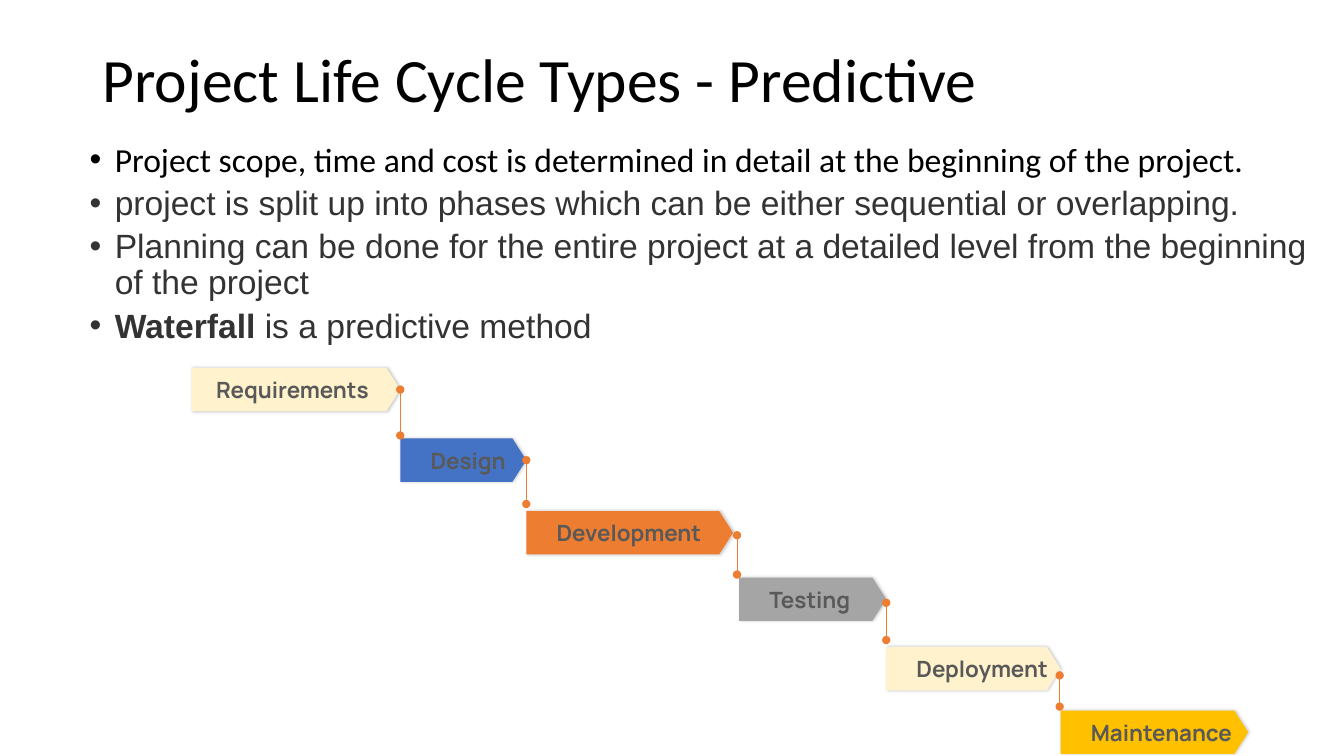
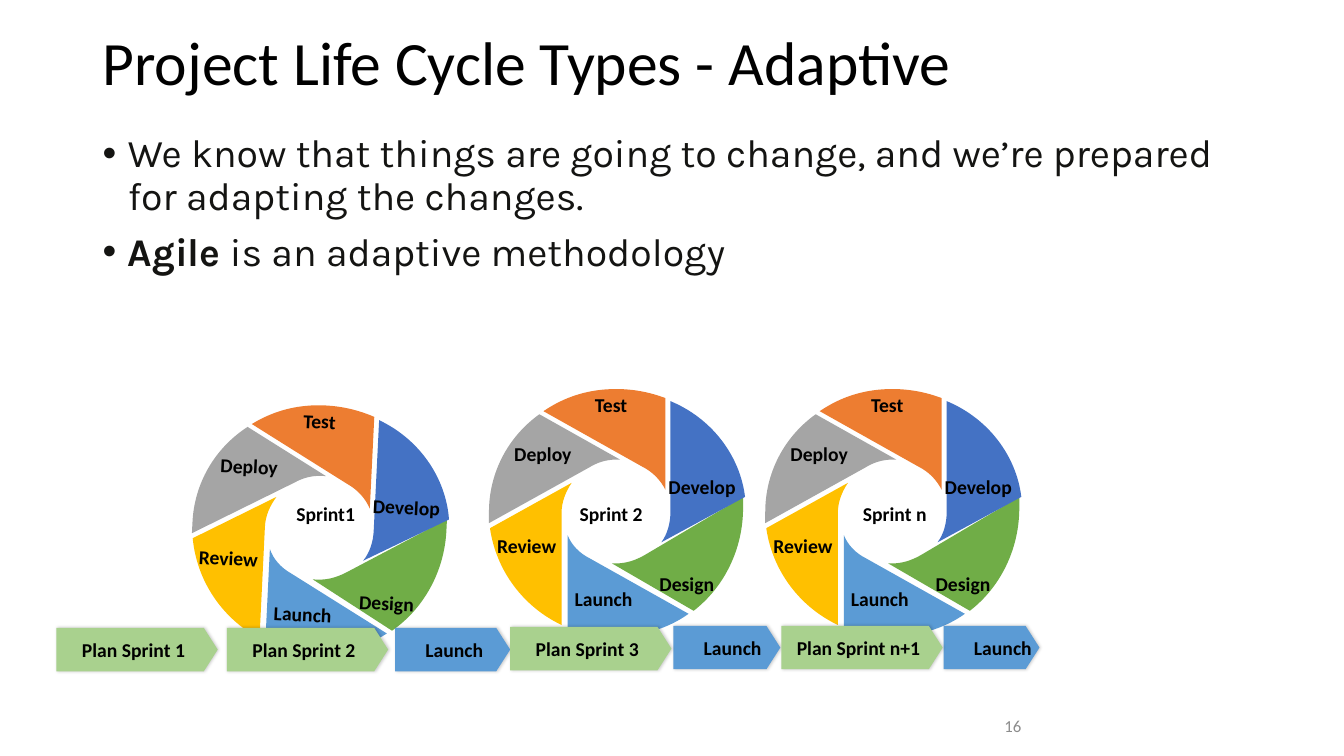
"""Build two slides on predictive and adaptive project life cycles."""
from lxml.etree import Element, SubElement
from pptx import Presentation
from pptx.dml.color import RGBColor
from pptx.enum.shapes import MSO_CONNECTOR, MSO_SHAPE
from pptx.enum.text import MSO_ANCHOR, PP_ALIGN
from pptx.oxml.ns import qn
from pptx.util import Inches, Pt

BLACK = RGBColor(0x00, 0x00, 0x00)
INK = RGBColor(0x14, 0x14, 0x12)
CHARCOAL = RGBColor(0x33, 0x33, 0x33)
SLATE = RGBColor(0x59, 0x59, 0x59)
PAGE_GRAY = RGBColor(0x8C, 0x8C, 0x8C)
GRAY = RGBColor(0xA5, 0xA5, 0xA5)
CREAM = RGBColor(0xFF, 0xF2, 0xCC)
YELLOW = RGBColor(0xFF, 0xC0, 0x00)
ORANGE = RGBColor(0xED, 0x7D, 0x31)
BLUE = RGBColor(0x44, 0x72, 0xC4)
SKY = RGBColor(0x5B, 0x9B, 0xD5)
GREEN = RGBColor(0x70, 0xAD, 0x47)
LIGHT_GREEN = RGBColor(0xA9, 0xD1, 0x8E)

TITLE_STYLE = {"name": "Calibri", "size": Pt(44), "color": BLACK}
SCOPE_STYLE = {"name": "Calibri", "size": Pt(24), "color": BLACK}
PREDICTIVE_STYLE = {"name": "Arial", "size": Pt(24), "color": CHARCOAL}
ADAPTIVE_STYLE = {"name": "Karla", "size": Pt(28), "color": INK}
STEP_STYLE = {"name": "Manrope", "size": Pt(16), "color": SLATE, "bold": True}
SPRINT_STYLE = {"name": "Calibri", "size": Pt(14), "color": BLACK, "bold": True}
PAGE_STYLE = {"name": "Calibri", "size": Pt(12), "color": PAGE_GRAY}

TEXT_INSETS = (0.1, 0.05, 0.1, 0.05)
CENTERED_INSETS = (0.1, 0.1, 0.1, 0.1)
INDENTED_INSETS = (0.3, 0, 0, 0)
PENTAGON_HEIGHT = 0.43

STEPS = [
    ("Requirements", 1.9, 3.65, 2.07, CREAM),
    ("Design", 3.97, 4.35, 1.25, BLUE),
    ("Development", 5.22, 5.07, 2.05, ORANGE),
    ("Testing", 7.33, 5.73, 1.46, GRAY),
    ("Deployment", 8.79, 6.42, 1.73, CREAM),
    ("Maintenance", 10.52, 7.05, 1.86, YELLOW),
]
STEP_LINKS = [
    (3.97, 3.87, 4.32),
    (5.22, 4.57, 5),
    (7.31, 5.31, 5.7),
    (8.79, 5.98, 6.35),
    (10.51, 6.7, 7.01),
]

PETALS = [
    ("Review", YELLOW, 0.07, 0.51, [
        (-1.25, 0.16), (-0.44, -0.29), (-0.5, -0.2, -0.54, -0.1, -0.54, 0.01),
        (-0.54, 1.12), (-0.92, 0.94, -1.19, 0.58, -1.25, 0.16)]),
    ("Design", GREEN, 0.47, 0.74, [
        (0.77, 0.98), (-0.04, 0.51), (0, 0.51), (0.1, 0.51, 0.19, 0.48, 0.28, 0.43),
        (1.26, -0.15), (1.26, -0.04), (1.26, 0.36, 1.08, 0.74, 0.77, 0.98)]),
    ("Test", ORANGE, 0.51, 0.04, [
        (0.26, -0.45), (-0.72, -1), (-0.5, -1.15, -0.26, -1.22, 0, -1.22),
        (0.17, -1.22, 0.33, -1.19, 0.49, -1.13), (0.49, -0.22),
        (0.44, -0.32, 0.36, -0.4, 0.26, -0.45)]),
    ("Develop", BLUE, 0.07, 0.73, [
        (1.28, -0.15), (0.45, 0.3), (0.51, 0.22, 0.54, 0.11, 0.54, 0),
        (0.54, -1.1), (0.95, -0.93, 1.23, -0.56, 1.28, -0.15)]),
    ("Launch", SKY, 0.07, 0.51, [
        (-0.26, 0.46), (0.72, 1.01), (0.51, 1.16, 0.26, 1.23, 0, 1.23),
        (-0.17, 1.23, -0.33, 1.2, -0.48, 1.14), (-0.48, 0.23),
        (-0.44, 0.33, -0.36, 0.41, -0.26, 0.46)]),
    ("Deploy", GRAY, 0.25, 0.27, [
        (-0.27, -0.44), (-1.26, 0.11), (-1.26, 0),
        (-1.26, -0.38, -1.08, -0.74, -0.76, -0.97), (0.04, -0.52), (0, -0.52),
        (-0.1, -0.52, -0.19, -0.49, -0.27, -0.44)]),
]
WHEEL_MIDDLE = 5.08
WHEELS = [
    ("Sprint1", 3.42, 2.8, 2.84, 1.02),
    ("Sprint 2", 6.11, 0, 5.65, 1.03),
    ("Sprint n", 8.85, 0, 8.46, 1.16),
]
PLANS = [
    ("Plan Sprint 1", 0.56, 6.23),
    ("Plan Sprint 2", 2.25, 6.23),
    ("Plan Sprint 3", 5.06, 6.22),
    ("Plan Sprint n+1", 7.75, 6.21),
]
LAUNCHES = [(3.92, 6.23, 1.14), (6.68, 6.21, 1.06), (9.36, 6.21, 0.95)]


def add_run(paragraph, text, style):
    """Append a run with the given font values."""
    run = paragraph.add_run()
    run.text = text
    for name, value in style.items():
        if name == "color":
            run.font.color.rgb = value
        else:
            setattr(run.font, name, value)


def set_frame(frame, insets, anchor):
    """Set wrapping, anchor and the left, top, right and bottom insets."""
    frame.word_wrap = True
    frame.vertical_anchor = anchor
    for side, inset in zip(("left", "top", "right", "bottom"), insets):
        setattr(frame, f"margin_{side}", Inches(inset))


def write_label(shape, text, style, insets, anchor=MSO_ANCHOR.MIDDLE, align=PP_ALIGN.LEFT):
    """Write one styled line in a shape and return its paragraph."""
    set_frame(shape.text_frame, insets, anchor)
    paragraph = shape.text_frame.paragraphs[0]
    paragraph.alignment = align
    add_run(paragraph, text, style)
    return paragraph


def add_text_box(slide, *box):
    """Add an empty text box at left, top, width and height."""
    return slide.shapes.add_textbox(*map(Inches, box))


def add_title(slide, text, top, height):
    """Add the slide title."""
    paragraph = write_label(add_text_box(slide, 0.92, top, 11.5, height), text,
                            TITLE_STYLE, TEXT_INSETS)
    paragraph.line_spacing = 0.9


def add_bullets(slide, box, bullets, indent, space):
    """Add bulleted paragraphs, each a list of text and style pairs."""
    frame = add_text_box(slide, *box).text_frame
    set_frame(frame, TEXT_INSETS, MSO_ANCHOR.TOP)
    for index, runs in enumerate(bullets):
        paragraph = frame.add_paragraph() if index else frame.paragraphs[0]
        paragraph.line_spacing = 0.9
        paragraph.space_before = Pt(space)
        properties = paragraph._p.get_or_add_pPr()
        properties.set("marL", str(Inches(indent)))
        properties.set("indent", str(Inches(-0.25)))
        SubElement(properties, qn("a:buFont")).set("typeface", "Arial")
        SubElement(properties, qn("a:buChar")).set("char", "•")
        for text, style in runs:
            add_run(paragraph, text, style)


def fill_plain(shape, color):
    """Give a shape a solid fill with no line and no shadow."""
    shape.shadow.inherit = False
    shape.fill.solid()
    shape.fill.fore_color.rgb = color
    shape.line.fill.background()


def add_pentagon(slide, text, left, top, width, color, style, centered=False):
    """Add a labelled arrow pentagon with a soft shadow."""
    box = map(Inches, (left, top, width, PENTAGON_HEIGHT))
    shape = slide.shapes.add_shape(MSO_SHAPE.PENTAGON, *box)
    shape.adjustments[0] = 0.32
    fill_plain(shape, color)
    effects = shape._element.spPr.find(qn("a:effectLst"))
    shadow = SubElement(effects, qn("a:outerShdw"), blurRad=str(Pt(2.2)), dist=str(Pt(0.8)),
                        dir="0", algn="ctr", rotWithShape="0")
    shadow_color = SubElement(shadow, qn("a:srgbClr"), val=str(BLACK))
    SubElement(shadow_color, qn("a:alpha"), val="20000")
    if centered:
        write_label(shape, text, style, CENTERED_INSETS, align=PP_ALIGN.CENTER)
    else:
        write_label(shape, text, style, INDENTED_INSETS)
    return shape


def add_step_link(slide, step, x, top, bottom):
    """Add a dotted-end line, joined to the step when it starts at its tip."""
    ends = map(Inches, (x, top, x, bottom))
    connector = slide.shapes.add_connector(MSO_CONNECTOR.STRAIGHT, *ends)
    tip_x, tip_y = step.left + step.width, step.top + step.height // 2
    if max(abs(Inches(x) - tip_x), abs(Inches(top) - tip_y)) <= Inches(0.01):
        connector.begin_connect(step, 3)
    connector.line.color.rgb = ORANGE
    connector.line.width = Pt(0.5)
    line = connector.line._get_or_add_ln()
    for end in ("a:headEnd", "a:tailEnd"):
        SubElement(line, qn(end), type="oval")
    SubElement(connector._element.spPr, qn("a:effectLst"))


def bend_segments(shape, segments):
    """Replace the line of each six-number segment by a cubic curve."""
    lines = list(shape._element.iter(qn("a:lnTo")))
    for line, segment in zip(lines, segments):
        if len(segment) == 6:
            curve = Element(qn("a:cubicBezTo"))
            for x, y in zip(segment[::2], segment[1::2]):
                SubElement(curve, qn("a:pt"), x=str(x - shape.left), y=str(y - shape.top))
            line.getparent().replace(line, curve)


def add_petal(group, center_x, label, color, label_left, label_top, outline):
    """Add one labelled petal, outlined from the wheel centre."""
    center = Inches(center_x), Inches(WHEEL_MIDDLE)
    segments = [tuple(center[index % 2] + Inches(value) for index, value in enumerate(segment))
                for segment in outline]
    builder = group.shapes.build_freeform(*segments[0])
    builder.add_line_segments([segment[-2:] for segment in segments[1:]], close=True)
    shape = builder.convert_to_shape()
    bend_segments(shape, segments[1:])
    fill_plain(shape, color)
    write_label(shape, label, SPRINT_STYLE, (label_left, label_top, 0, 0), MSO_ANCHOR.TOP)


def add_wheel(slide, name, center_x, turn, name_left, name_width):
    """Add a wheel of grouped petals with the sprint name in its hub."""
    group = slide.shapes.add_group_shape()
    for petal in PETALS:
        add_petal(group, center_x, *petal)
    group.rotation = turn
    write_label(add_text_box(slide, name_left, 4.93, name_width, 0.34), name,
                SPRINT_STYLE, TEXT_INSETS, MSO_ANCHOR.TOP)


def build_predictive(slide):
    """Fill the slide on the predictive life cycle."""
    add_title(slide, "Project Life Cycle Types - Predictive", 0.09, 1.45)
    add_bullets(slide, (0.29, 1.37, 12.93, 2.92), [
        [("Project scope, time and cost is determined in detail at the beginning of the project.",
          SCOPE_STYLE)],
        [("project is split up into phases which can be either sequential or overlapping.",
          PREDICTIVE_STYLE)],
        [("Planning can be done for the entire project at a detailed level from the beginning "
          "of the project", PREDICTIVE_STYLE)],
        [("Waterfall", {**PREDICTIVE_STYLE, "bold": True}),
         (" is a predictive method", PREDICTIVE_STYLE)],
    ], 0.75, 5)
    steps = [add_pentagon(slide, *step, STEP_STYLE, centered=index == 0)
             for index, step in enumerate(STEPS)]
    for step, link in zip(steps, STEP_LINKS):
        add_step_link(slide, step, *link)


def build_adaptive(slide):
    """Fill the slide on the adaptive life cycle."""
    add_title(slide, "Project Life Cycle Types - Adaptive", 0.02, 1.27)
    add_bullets(slide, (0.92, 1.28, 11.5, 1.86), [
        [("We know that things are going to change, and we’re prepared for adapting the changes.",
          ADAPTIVE_STYLE)],
        [("Agile", {**ADAPTIVE_STYLE, "bold": True}),
         (" is an adaptive methodology", ADAPTIVE_STYLE)],
    ], 0.25, 10)
    write_label(add_text_box(slide, 9.63, 6.99, 0.6, 0.43), "16", PAGE_STYLE, TEXT_INSETS,
                align=PP_ALIGN.RIGHT)
    for wheel in WHEELS:
        add_wheel(slide, *wheel)
    for left, top, width in LAUNCHES:
        add_pentagon(slide, "Launch", left, top, width, SKY, SPRINT_STYLE)
    for text, left, top in PLANS:
        add_pentagon(slide, text, left, top, 1.6, LIGHT_GREEN, SPRINT_STYLE, centered=True)


def main():
    """Build and save the presentation."""
    presentation = Presentation()
    presentation.slide_width = Inches(13.33)
    presentation.slide_height = Inches(7.5)
    for build in (build_predictive, build_adaptive):
        build(presentation.slides.add_slide(presentation.slide_layouts[6]))
    presentation.save("out.pptx")


if __name__ == "__main__":
    main()
